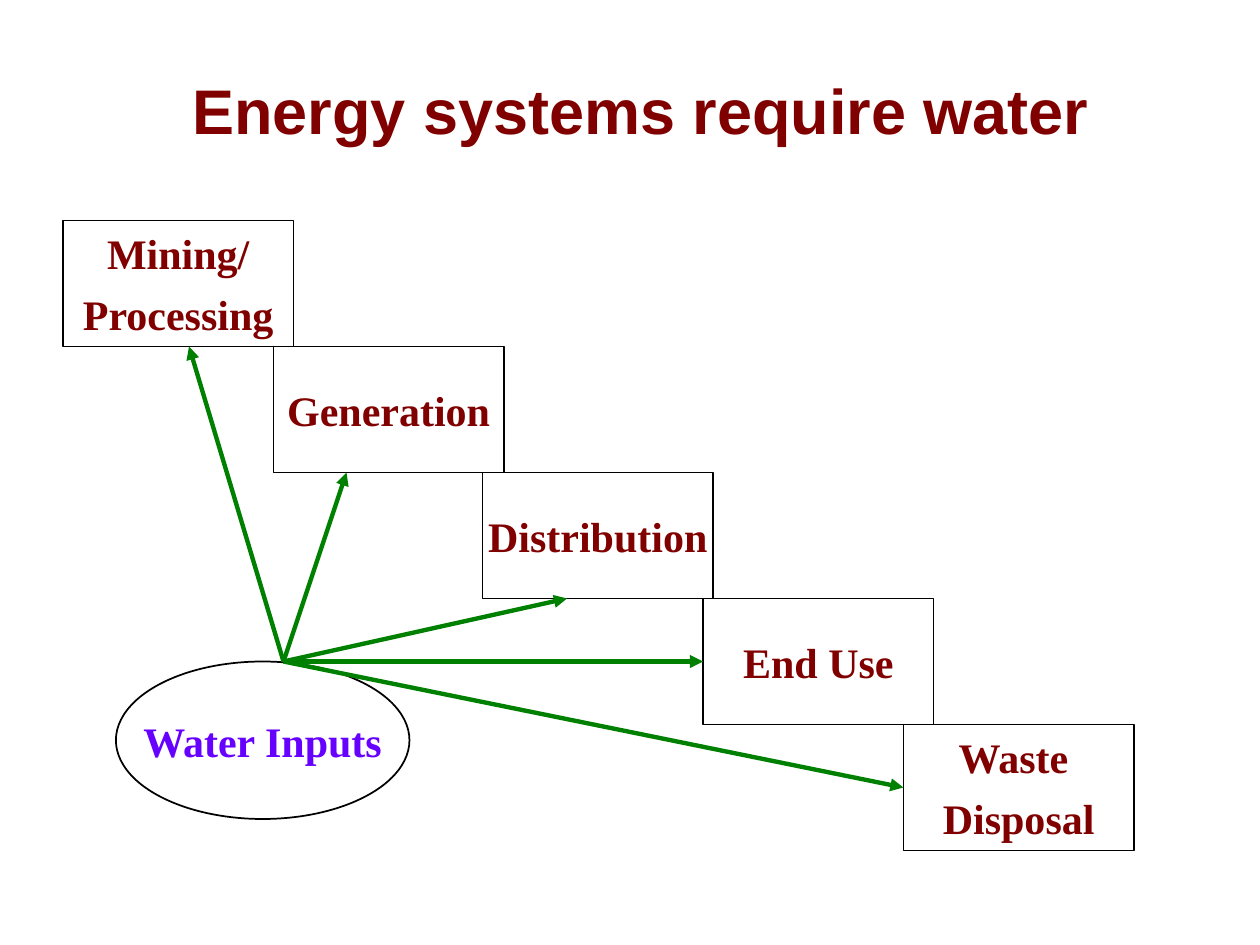
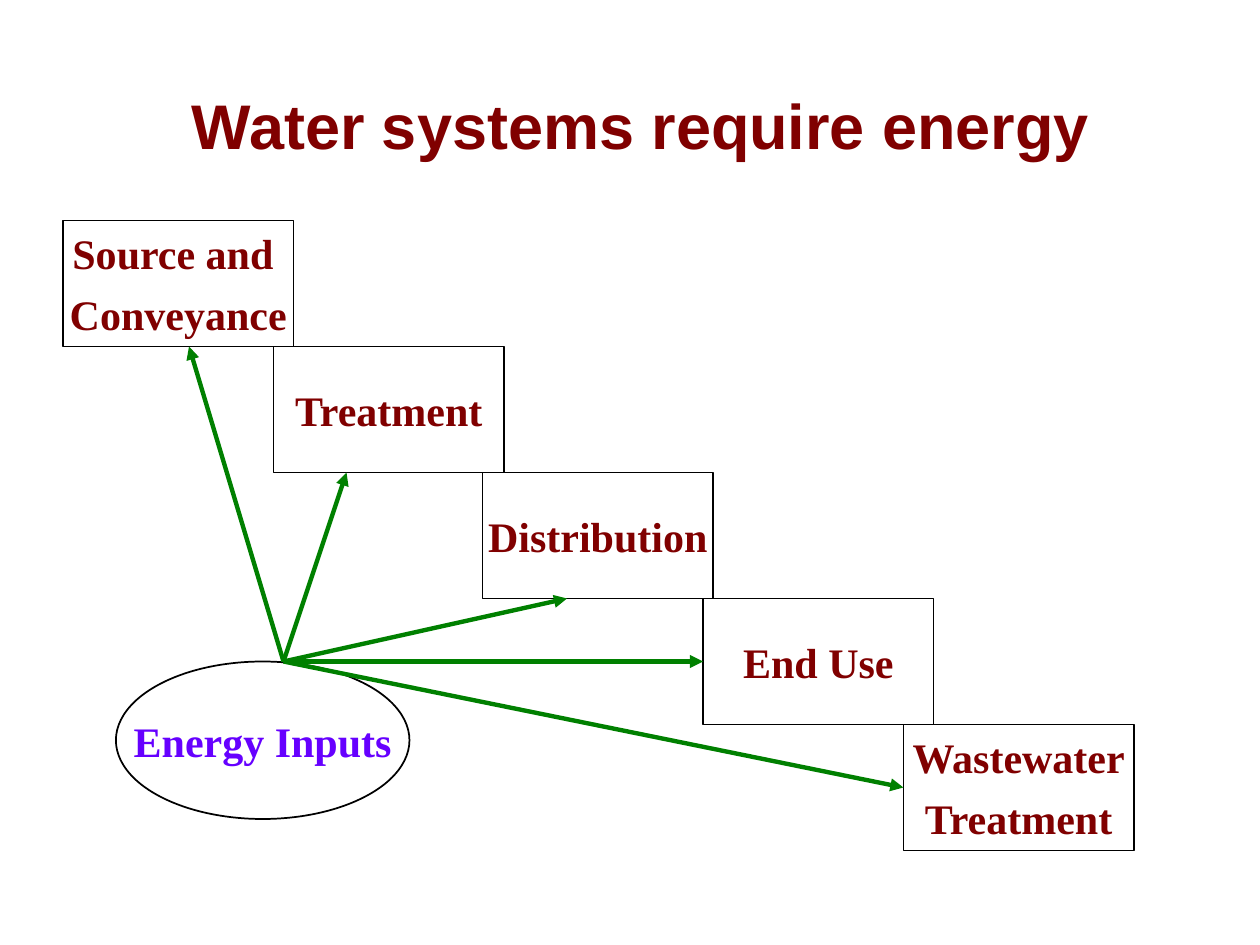
"""Build two staircase diagrams on how water and energy systems depend on each other."""
from lxml import etree
from pptx import Presentation
from pptx import util as u
from pptx.dml.color import RGBColor
from pptx.enum import shapes, text
from pptx.oxml.ns import qn

COLORS = {"maroon": "800000", "violet": "6600FF", "green": "008000", "black": "000000"}
STEP_LEFTS = [0.5, 2.17, 3.83, 5.58, 7.17]
STEP_TOP, STEP_W, STEP_H = 1.75, 1.83, 1
ARROW_START = (2.25, 5.25)
ARROW_ENDS = [(2.75, 3.75), (4.5, 4.75), (5.58, 5.25), (7.17, 6.25), (1.5, 2.75)]
SLIDES = [
    ("Energy systems require water", 1.08, "Water Inputs",
     ["Mining/\nProcessing", "Generation", "Distribution", "End Use", "Waste \nDisposal"]),
    ("Water systems require energy", 1.32, "Energy Inputs",
     ["Source and \nConveyance", "Treatment", "Distribution", "End Use",
      "Wastewater\nTreatment"]),
]


def rgb(name):
    return RGBColor.from_string(COLORS[name])


def write(tf, content, font="Times New Roman", size=24, color="maroon", before=6, wrap=False):
    tf.word_wrap = wrap
    tf.auto_size = text.MSO_AUTO_SIZE.NONE
    tf.vertical_anchor = text.MSO_ANCHOR.MIDDLE
    for i, line in enumerate(content.split("\n")):
        p = tf.add_paragraph() if i else tf.paragraphs[0]
        p.alignment = text.PP_ALIGN.CENTER
        p.space_before = u.Pt(before)
        r = p.add_run()
        r.text = line
        r.font.name, r.font.size, r.font.bold = font, u.Pt(size), True
        r.font.color.rgb = rgb(color)


class Deck:
    def __init__(self):
        self.prs = Presentation()
        self.prs.slide_width, self.prs.slide_height = u.Inches(10), u.Inches(7.5)
        self.s = None

    def slide(self, title, title_height):
        self.s = self.prs.slides.add_slide(self.prs.slide_layouts[5])
        sp = self.s.shapes.title
        sp.left, sp.top = u.Inches(0.75), u.Inches(0.33)
        sp.width, sp.height = u.Inches(8.67), u.Inches(title_height)
        write(sp.text_frame, title, font="Arial", size=36, before=0, wrap=True)

    def outline(self, kind, x, y, w, h, label, **fmt):
        sp = self.s.shapes.add_shape(kind, *map(u.Inches, (x, y, w, h)))
        sp.shadow.inherit = False
        sp.fill.background()
        sp.line.color.rgb = rgb("black")
        sp.line.width = u.Pt(1)
        write(sp.text_frame, label, **fmt)

    def arrow(self, start, end):
        cx = self.s.shapes.add_connector(
            shapes.MSO_CONNECTOR.STRAIGHT, *map(u.Inches, start + end))
        cx.line.color.rgb = rgb("green")
        cx.line.width = u.Pt(2.5)
        etree.SubElement(cx.line._get_or_add_ln(), qn("a:tailEnd"), type="triangle")
        etree.SubElement(cx._element.spPr, qn("a:effectLst"))


def main():
    deck = Deck()
    for title, title_height, inputs, steps in SLIDES:
        deck.slide(title, title_height)
        for i, (x, step) in enumerate(zip(STEP_LEFTS, steps)):
            deck.outline(shapes.MSO_SHAPE.RECTANGLE, x, STEP_TOP + i * STEP_H,
                         STEP_W, STEP_H, step)
        deck.outline(shapes.MSO_SHAPE.OVAL, 0.92, 5.25, 2.33, 1.25, inputs, color="violet")
        for end in ARROW_ENDS:
            deck.arrow(ARROW_START, end)
    deck.prs.save("out.pptx")


if __name__ == "__main__":
    main()
